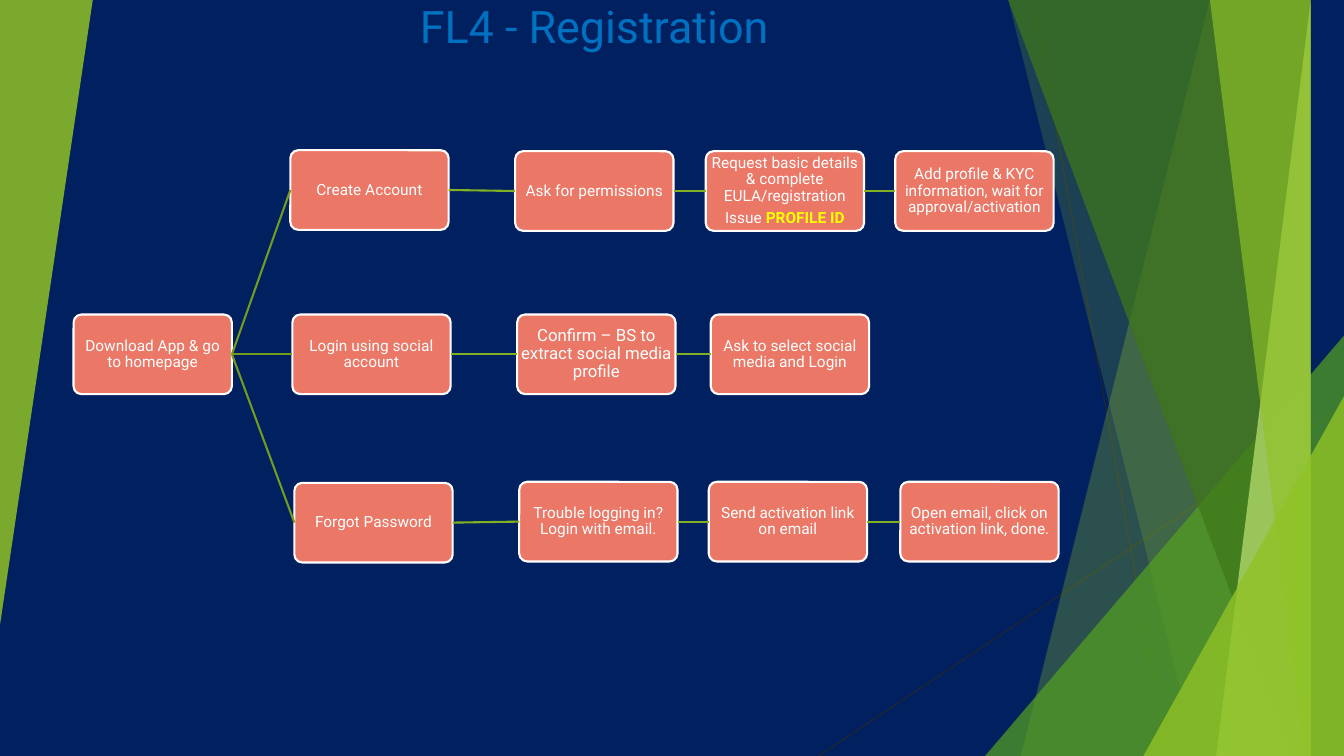
from pptx import Presentation
from pptx.dml.color import RGBColor
from pptx.enum.shapes import MSO_CONNECTOR, MSO_SHAPE
from pptx.enum.text import MSO_ANCHOR, PP_ALIGN
from pptx.oxml.ns import qn
from pptx.util import Inches, Pt
from lxml import etree

W, H = 13.33, 7.5
BOX_W, BOX_H = 1.57, 0.79
FONT = "Roboto"
C = {
    "navy": "002060", "title": "0070C0", "box": "EB7766", "white": "FFFFFF",
    "yellow": "FFFF00", "branch": "739B1E", "link": "83B022", "hairline": "262626",
    "lime": "90C226", "green": "54A021", "forest": "3F7819", "pale": "C0E474",
}


def add_line(start, end, color, width):
    line = s.shapes.add_connector(MSO_CONNECTOR.STRAIGHT, *[Inches(v) for v in start + end])
    line.line.color.rgb = RGBColor.from_string(C[color])
    line.line.width = Pt(width)
    etree.SubElement(line._element.spPr, qn("a:effectLst"))
    return line


def paint_panel(panel, color, opacity):
    panel.shadow.inherit = False
    panel.fill.solid()
    panel.fill.fore_color.rgb = RGBColor.from_string(C[color])
    srgb = panel._element.spPr.find(qn("a:solidFill")).find(qn("a:srgbClr"))
    etree.SubElement(srgb, qn("a:alpha"), val=str(opacity * 1000))
    panel.line.fill.background()


prs = Presentation()
prs.slide_width, prs.slide_height = Inches(W), Inches(H)
s = prs.slides.add_slide(prs.slide_layouts[5])
s.background.fill.solid()
s.background.fill.fore_color.rgb = RGBColor.from_string(C["navy"])

# Facet backdrop: two hairlines, then translucent panels from back to front
add_line((10.25, 0), (11.58, H), "hairline", 0.75)
add_line((W, 4.03), (8.12, H), "hairline", 0.75)

# Slanted panels give top x and bottom x; triangles give left, top, width, height, rotation
panels = [
    ((12.28, 10.04), "lime", 30),
    ((10.5, 11.83), "lime", 20),
    ((9.77, 3.33, 3.56, 4.17, 0), "green", 72),
    ((10.21, 12.91), "forest", 70),
    ((13.03, 11.92), "pale", 70),
    ((11.96, 13.18), "lime", 65),
    ((11.34, 3.93, 1.99, 3.57, 0), "lime", 80),
    ((0, 0, 0.92, 6.2, 180), "lime", 85),
]
for geometry, color, opacity in panels:
    if len(geometry) == 2:
        top_x, bottom_x = geometry
        fb = s.shapes.build_freeform(top_x, 0, scale=Inches(1))
        fb.add_line_segments([(W, 0), (W, H), (bottom_x, H)], close=True)
        panel = fb.convert_to_shape()
    else:
        *place, rotation = geometry
        panel = s.shapes.add_shape(MSO_SHAPE.ISOSCELES_TRIANGLE, *[Inches(v) for v in place])
        panel.adjustments[0] = 1
        panel.rotation = rotation
    paint_panel(panel, color, opacity)

title = s.shapes.title
title.left, title.top, title.width, title.height = [Inches(v) for v in (1.65, 0.04, 8.49, 0.53)]
tf = title.text_frame
tf.vertical_anchor = MSO_ANCHOR.BOTTOM
p = tf.paragraphs[0]
p.alignment = PP_ALIGN.CENTER
r = p.add_run()
r.text = "FL4 - Registration"
r.font.size, r.font.name = Pt(32), FONT
r.font.color.rgb = RGBColor.from_string(C["title"])

# Each step: left, top, paragraphs of (text, color) runs or plain text
home = (0.73, 3.12, ["Download App & go to homepage"])
flows = [
    [(2.88, 1.49, ["Create Account"]),
     (5.11, 1.5, ["Ask for permissions"]),
     (7, 1.5, ["Request basic details & complete EULA/registration", "Issue |PROFILE ID"]),
     (8.88, 1.5, ["Add profile & KYC information, wait for approval/activation"])],
    [(2.9, 3.12, ["Login using social account"]),
     (5.13, 3.12, ["Confirm – BS to extract social media profile"]),
     (7.05, 3.12, ["Ask to select social media and Login"])],
    [(2.92, 4.79, ["Forgot Password"]),
     (5.15, 4.78, ["Trouble logging in? Login with email."]),
     (7.03, 4.78, ["Send activation link on email"]),
     (8.93, 4.78, ["Open email, click on activation link, done."])],
]

boxes = []
for left, top, lines in [home] + [step for flow in flows for step in flow]:
    sp = s.shapes.add_shape(MSO_SHAPE.ROUNDED_RECTANGLE, Inches(left), Inches(top),
                            Inches(BOX_W), Inches(BOX_H))
    sp.adjustments[0] = 0.1
    sp.shadow.inherit = False
    sp.fill.solid()
    sp.fill.fore_color.rgb = RGBColor.from_string(C["box"])
    sp.line.color.rgb = RGBColor.from_string(C["white"])
    sp.line.width = Pt(1.5)
    tf = sp.text_frame
    tf.word_wrap = True
    tf.vertical_anchor = MSO_ANCHOR.MIDDLE
    tf.margin_left = tf.margin_right = tf.margin_top = tf.margin_bottom = Inches(0.01)
    size = 12 if lines[0].startswith("Confirm") else 11
    for i, text in enumerate(lines):
        p = tf.add_paragraph() if i else tf.paragraphs[0]
        p.alignment = PP_ALIGN.CENTER
        p.line_spacing = 0.9
        if i:
            p.space_before = Pt(4)
        # A bar in the text starts the highlighted run
        for j, part in enumerate(text.split("|")):
            r = p.add_run()
            r.text = part
            r.font.size, r.font.name, r.font.bold = Pt(size), FONT, j == 1
            r.font.color.rgb = RGBColor.from_string(C["yellow" if j else "white"])
    boxes.append(sp)

# Home branches to the first step of each flow; later steps follow in a chain
home_box, steps = boxes[0], iter(boxes[1:])
for flow in flows:
    previous = home_box
    for _ in flow:
        box = next(steps)
        line = add_line((0, 0), (1, 1), "branch" if previous is home_box else "link", 1.5)
        line.begin_connect(previous, 3)
        line.end_connect(box, 1)
        previous = box

prs.save("out.pptx")
